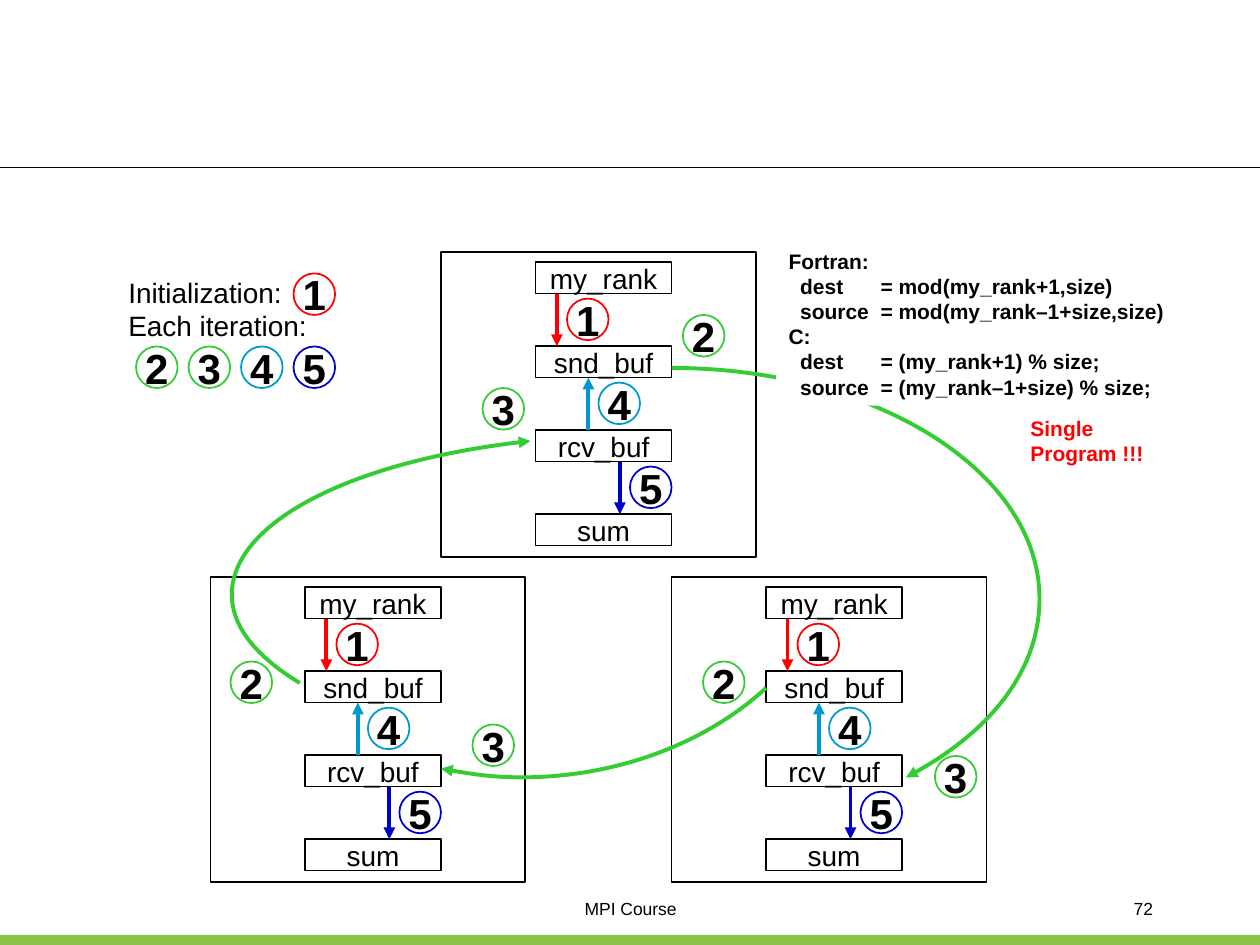
"""Build the ring communication slide of the MPI course."""
from lxml import etree
from pptx import Presentation
from pptx.dml.color import RGBColor
from pptx.enum.shapes import MSO_CONNECTOR, MSO_SHAPE
from pptx.enum.text import MSO_ANCHOR, MSO_AUTO_SIZE, PP_ALIGN
from pptx.oxml.ns import qn
from pptx.util import Inches, Pt

RECT, OVAL, STRAIGHT = MSO_SHAPE.RECTANGLE, MSO_SHAPE.OVAL, MSO_CONNECTOR.STRAIGHT
LEFT, CENTER, RIGHT = PP_ALIGN.LEFT, PP_ALIGN.CENTER, PP_ALIGN.RIGHT
TOP, MIDDLE = MSO_ANCHOR.TOP, MSO_ANCHOR.MIDDLE
FIT, FIXED = MSO_AUTO_SIZE.SHAPE_TO_FIT_TEXT, MSO_AUTO_SIZE.NONE

THEME = {
    "font": "Arial", "black": "000000", "white": "FFFFFF", "bar": "89C448",
    "red": "FF0000", "green": "33CC33", "cyan": "0099CC", "blue": "0000CC",
    "footer": 10, "code": 12, "body": 16, "step": 24,
    "hairline": 0.75, "thin": 1, "thick": 2.25,
}
STEP_COLORS = {"1": "red", "2": "green", "3": "green", "4": "cyan", "5": "blue"}

BUFFERS = ["my_rank", "snd_buf", "rcv_buf", "sum"]
LOCAL_STEPS = [("1", "down"), ("4", "up"), ("5", "down")]
PROCESSES = [(3.5, 2), (5.33, 4.58), (1.67, 4.58)]
RING_STEPS = [
    ("2", 5.42, 2.5), ("3", 3.83, 3.08), ("2", 5.58, 5.25),
    ("3", 7.42, 6), ("2", 1.83, 5.25), ("3", 3.75, 5.75),
]
RING_CURVES = [
    [(5.33, 2.92), (6.94, 2.92), (8.25, 3.74), (8.25, 4.75),
     (8.25, 5.3), (7.86, 5.82), (7.19, 6.17)],
    [(6.08, 5.46), (5.59, 5.91), (4.88, 6.17), (4.14, 6.17),
     (3.92, 6.17), (3.71, 6.14), (3.5, 6.1)],
    [(2.38, 5.42), (2.03, 5.21), (1.84, 4.97), (1.84, 4.72),
     (1.84, 4.15), (2.81, 3.65), (4.21, 3.5)],
]
LEGEND = ["Initialization:", "Each iteration:"]
CODE = [
    "Fortran:",
    "  dest\t= mod(my_rank+1,size)",
    "  source\t= mod(my_rank–1+size,size)",
    "C:",
    "  dest\t= (my_rank+1) % size;",
    "  source\t= (my_rank–1+size) % size;",
]
CODE_TAB = 0.73
NOTE = ["Single", "Program !!!"]

PROCESS_W, PROCESS_H = 2.5, 2.42
BUFFER_W, BUFFER_H, BUFFER_PITCH = 1.08, 0.25, 2 / 3
BUFFER_DX, BUFFER_DY = 0.75, 0.08
ARROW_DX, ARROW_PITCH = 0.92, 0.25
CIRCLE = 0.33


def rgb(name):
    """Return a theme colour."""
    return RGBColor.from_string(THEME[name])


def write(sp, lines, size="body", color="black", bold=False, align=LEFT,
          anchor=TOP, wrap=False, fit=False, tab=None):
    """Put lines of text into a shape."""
    tf = sp.text_frame
    tf.word_wrap = wrap
    tf.auto_size = FIT if fit else FIXED
    tf.vertical_anchor = anchor
    for i, line in enumerate(lines):
        p = tf.add_paragraph() if i else tf.paragraphs[0]
        p.alignment = align
        if tab:
            tabs = etree.SubElement(p._p.get_or_add_pPr(), qn("a:tabLst"))
            etree.SubElement(tabs, qn("a:tab"), pos=str(Inches(tab)), algn="l")
        r = p.add_run()
        r.text = line
        r.font.name, r.font.size, r.font.bold = THEME["font"], Pt(THEME[size]), bold
        r.font.color.rgb = rgb(color)


def style(sp, fill=None, line=None, width="thin"):
    """Set the fill and outline of a shape and remove its shadow."""
    sp.shadow.inherit = False
    if fill:
        sp.fill.solid()
        sp.fill.fore_color.rgb = rgb(fill)
    else:
        sp.fill.background()
    if line:
        sp.line.color.rgb = rgb(line)
        sp.line.width = Pt(THEME[width])
    else:
        sp.line.fill.background()


def add_box(s, x, y, w, h, kind=RECT, fill=None, line=None):
    """Add a preset shape."""
    sp = s.shapes.add_shape(kind, Inches(x), Inches(y), Inches(w), Inches(h))
    style(sp, fill, line)
    return sp


def add_text(s, x, y, w, h, lines, **fmt):
    """Add a text box."""
    sp = s.shapes.add_textbox(Inches(x), Inches(y), Inches(w), Inches(h))
    write(sp, lines, **fmt)


def add_arrowhead(sp):
    """End the line of a shape in a triangle."""
    etree.SubElement(sp.line._get_or_add_ln(), qn("a:tailEnd"), type="triangle")


def add_line(s, x1, y1, x2, y2, color, width):
    """Add a straight line without a shadow."""
    sp = s.shapes.add_connector(STRAIGHT, Inches(x1), Inches(y1), Inches(x2), Inches(y2))
    sp.line.color.rgb = rgb(color)
    sp.line.width = Pt(THEME[width])
    etree.SubElement(sp._element.spPr, qn("a:effectLst"))
    return sp


def add_curve(s, points):
    """Add an open Bezier arrow through a start and triples of points."""
    start, *rest = [(Inches(x), Inches(y)) for x, y in points]
    builder = s.shapes.build_freeform(*start)
    builder.add_line_segments(rest, close=False)
    sp = builder.convert_to_shape()
    segments = list(sp._element.iter(qn("a:lnTo")))
    for i in range(0, len(segments), 3):
        curve = etree.Element(qn("a:cubicBezTo"))
        segments[i].addprevious(curve)
        for segment in segments[i:i + 3]:
            curve.append(segment[0])
            segment.getparent().remove(segment)
    style(sp, line="green", width="thick")
    add_arrowhead(sp)


def add_step(s, number, x, y):
    """Add a numbered step circle."""
    sp = add_box(s, x, y, CIRCLE, CIRCLE, OVAL, line=STEP_COLORS[number])
    write(sp, [number], size="step", bold=True, align=CENTER, anchor=MIDDLE)


def add_process(s, x, y):
    """Add a process frame with its buffers and local steps."""
    add_box(s, x, y, PROCESS_W, PROCESS_H, line="black")
    for i, name in enumerate(BUFFERS):
        sp = add_box(s, x + BUFFER_DX, y + BUFFER_DY + i * BUFFER_PITCH,
                     BUFFER_W, BUFFER_H, line="black")
        write(sp, [name], align=CENTER, anchor=MIDDLE)
    for i, (number, direction) in enumerate(LOCAL_STEPS):
        ax = x + ARROW_DX + i * ARROW_PITCH
        upper = y + BUFFER_DY + BUFFER_H + i * BUFFER_PITCH
        lower = upper + BUFFER_PITCH - BUFFER_H
        y1, y2 = (upper, lower) if direction == "down" else (lower, upper)
        add_arrowhead(add_line(s, ax, y1, ax, y2, STEP_COLORS[number], "thick"))
        add_step(s, number, ax + 0.08, upper + 0.04)


def main():
    """Build and save the slide."""
    prs = Presentation()
    prs.slide_width, prs.slide_height = Inches(10), Inches(7.5)
    s = prs.slides.add_slide(prs.slide_layouts[6])

    add_box(s, 0, 7.42, 10, 0.08, fill="bar")
    add_line(s, 0, 1.33, 10, 1.33, "black", "hairline")
    add_text(s, 3.17, 7.08, 3.67, 0.25, ["MPI Course"], size="footer", align=CENTER, wrap=True)
    add_text(s, 7.17, 7.08, 2.08, 0.25, ["72"], size="footer", align=RIGHT, wrap=True)

    for x, y in PROCESSES:
        add_process(s, x, y)
    for points in RING_CURVES:
        add_curve(s, points)
    for step in RING_STEPS:
        add_step(s, *step)

    add_text(s, 0.92, 2.13, 1.8, 0.64, LEGEND, anchor=MIDDLE, wrap=True)
    add_step(s, "1", 2.33, 2.17)
    for i, number in enumerate("2345"):
        add_step(s, number, 1.08 + i * 5 / 12, 2.75)

    code = add_box(s, 6.16, 1.92, 3.18, 1.3, fill="white")
    write(code, CODE, size="code", bold=True, fit=True, tab=CODE_TAB)
    note = add_box(s, 8.08, 3.25, 1.1, 0.5, fill="white")
    write(note, NOTE, size="code", color="red", bold=True, fit=True)
    prs.save("out.pptx")


if __name__ == "__main__":
    main()
